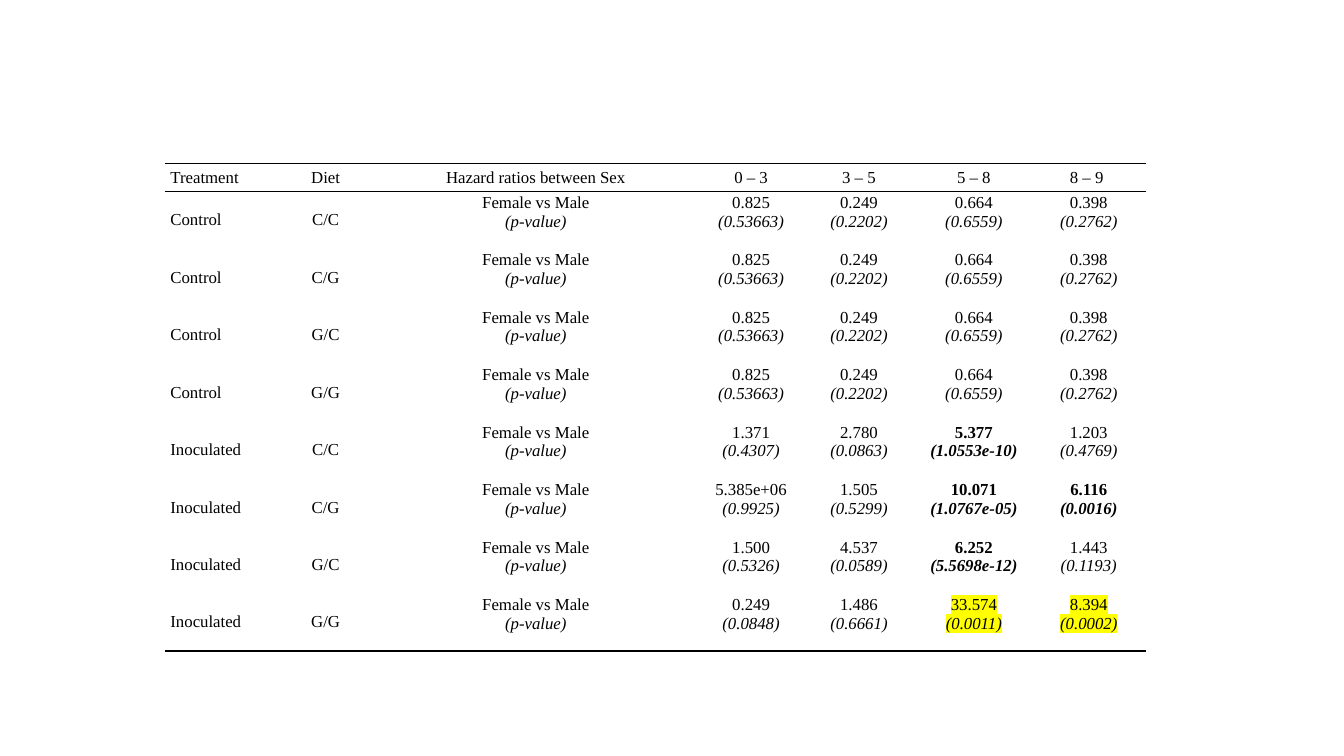
import pptx
import pptx.dml.color
import pptx.enum.text
import pptx.oxml
import pptx.oxml.ns
import pptx.util
from lxml import etree

Inches = pptx.util.Inches
Pt = pptx.util.Pt
ALIGN = pptx.enum.text.PP_ALIGN
ANCHOR = pptx.enum.text.MSO_ANCHOR

BLACK, YELLOW = "000000", "FFFF00"
COLUMN_WIDTHS = [1.14, 0.9, 3.27, 1, 1.14, 1.14, 1.14]
HEADER_HEIGHT, ROW_HEIGHT = 0.28, 0.57
HEADER = ["Treatment", "Diet", "Hazard ratios between Sex",
          "0 – 3", "3 – 5", "5 – 8", "8 – 9 "]
DIETS = ["C/C", "C/G", "G/C", "G/G"]
COMPARISON = "Female vs Male\n(p-value)"
CONTROL = ["0.825\n(0.53663)", "0.249\n(0.2202)", "0.664\n(0.6559)", "0.398\n(0.2762)"]
INOCULATED = [
    ["1.371\n(0.4307)", "2.780\n(0.0863)", "5.377\n(1.0553e-10)", "1.203\n(0.4769)"],
    ["5.385e+06\n(0.9925)", "1.505\n(0.5299)", "10.071\n(1.0767e-05)", "6.116\n(0.0016)"],
    ["1.500\n(0.5326)", "4.537\n(0.0589)", "6.252\n(5.5698e-12)", "1.443\n(0.1193)"],
    ["0.249\n(0.0848)", "1.486\n(0.6661)", "33.574\n(0.0011)", "8.394\n(0.0002)"],
]
# Cells by (row, column), with the header as row 0
BOLD = {(5, 5), (6, 5), (6, 6), (7, 5)}
HIGHLIGHTED = {(8, 5), (8, 6)}


def color(value):
    return pptx.dml.color.RGBColor.from_string(value)


def highlight(run, value):
    element = pptx.oxml.parse_xml(
        f'<a:highlight {pptx.oxml.ns.nsdecls("a")}><a:srgbClr val="{value}"/></a:highlight>')
    run.font.fill._xPr.find(pptx.oxml.ns.qn("a:solidFill")).addnext(element)


def set_borders(cell, ruled_sides):
    """Rule the given sides (of L, R, T, B) in black and clear the others."""
    properties = cell._tc.get_or_add_tcPr()
    for index, side in enumerate("LRTB"):
        line = etree.Element(pptx.oxml.ns.qn(f"a:ln{side}"), w=str(Pt(1)))
        if side in ruled_sides:
            fill = etree.SubElement(line, pptx.oxml.ns.qn("a:solidFill"))
            etree.SubElement(fill, pptx.oxml.ns.qn("a:srgbClr"), val=BLACK)
        else:
            etree.SubElement(line, pptx.oxml.ns.qn("a:noFill"))
        properties.insert(index, line)


def fill_cell(cell, text, alignment, anchor, bold, highlighted):
    cell.margin_left = cell.margin_right = Inches(0.05)
    cell.margin_top = cell.margin_bottom = Inches(0.02)
    cell.vertical_anchor = anchor
    cell.fill.background()
    cell.text_frame.text = text
    for number, paragraph in enumerate(cell.text_frame.paragraphs):
        paragraph.alignment = alignment
        run = paragraph.runs[0]
        run.font.name = "Times New Roman"
        run.font.size = Pt(12)
        run.font.color.rgb = color(BLACK)
        run.font.bold = bold
        run.font.italic = number == 1
        if highlighted:
            highlight(run, YELLOW)


def add_hazard_table(slide, left, top):
    rows = [HEADER]
    rows += [["Control", diet, COMPARISON, *CONTROL] for diet in DIETS]
    rows += [["Inoculated", diet, COMPARISON, *ratios]
             for diet, ratios in zip(DIETS, INOCULATED)]
    last = len(rows) - 1
    table = slide.shapes.add_table(
        len(rows), len(HEADER), Inches(left), Inches(top), Inches(sum(COLUMN_WIDTHS)),
        Inches(HEADER_HEIGHT + last * ROW_HEIGHT)).table
    table.first_row = table.horz_banding = False
    for column, width in zip(table.columns, COLUMN_WIDTHS):
        column.width = Inches(width)
    for r, texts in enumerate(rows):
        table.rows[r].height = Inches(ROW_HEIGHT if r else HEADER_HEIGHT)
        ruled_sides = {0: "TB", 1: "T", last: "B"}.get(r, "")
        for c, text in enumerate(texts):
            cell = table.cell(r, c)
            fill_cell(cell, text,
                      ALIGN.CENTER if c else ALIGN.LEFT,
                      ANCHOR.MIDDLE if r == 0 or c < 2 else ANCHOR.TOP,
                      (r, c) in BOLD, (r, c) in HIGHLIGHTED)
            set_borders(cell, ruled_sides)


def main():
    presentation = pptx.Presentation()
    presentation.slide_width = Inches(13.33)
    presentation.slide_height = Inches(7.5)
    slide = presentation.slides.add_slide(presentation.slide_layouts[6])
    add_hazard_table(slide, 1.64, 1.62)
    presentation.save("out.pptx")


if __name__ == "__main__":
    main()
